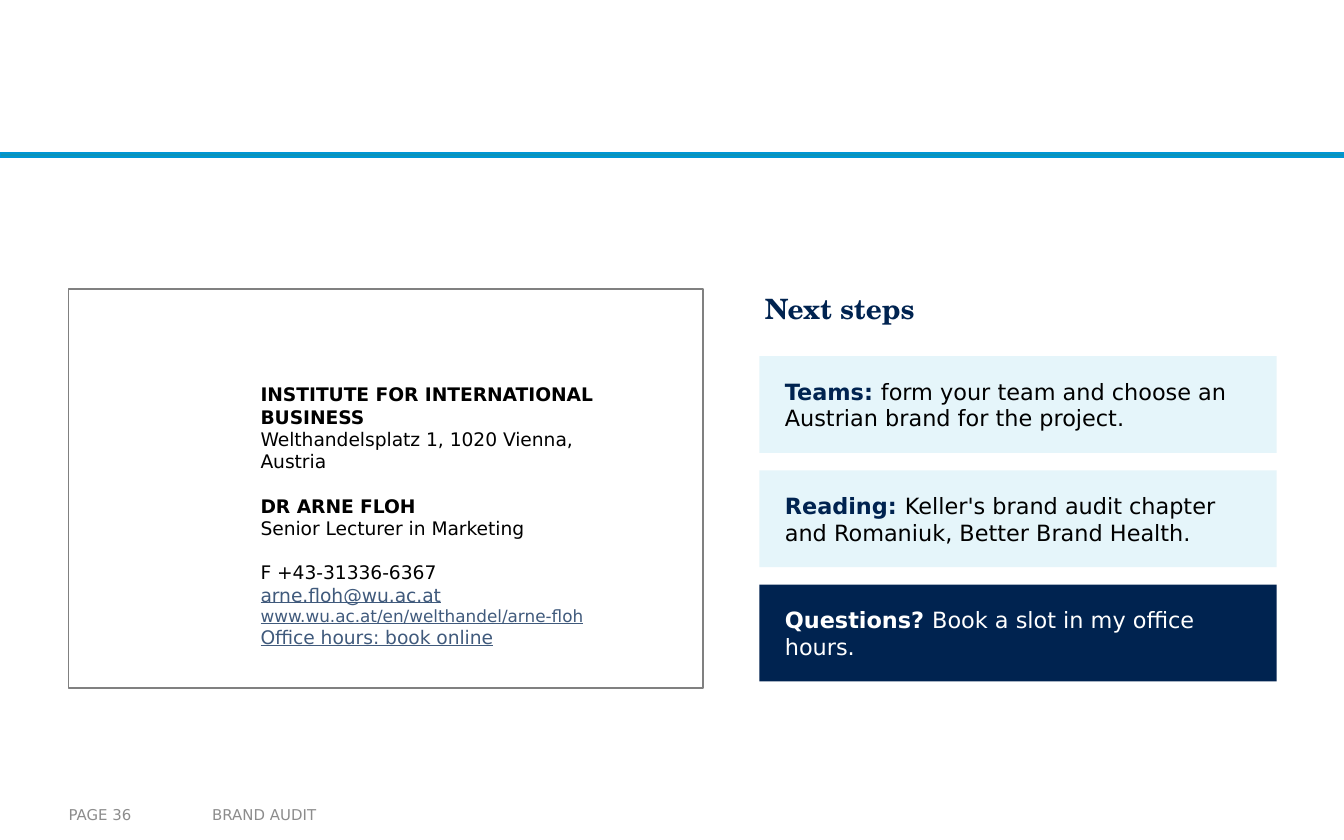
from dataclasses import dataclass

from pptx import Presentation
from pptx import util as u
from pptx.dml.color import RGBColor
from pptx.enum import shapes, text


@dataclass(frozen=True)
class Theme:
    body: str = "DejaVu Sans"
    heading: str = "TeX Gyre Schola"
    white: str = "FFFFFF"
    black: str = "000000"
    navy: str = "002350"
    pale: str = "E5F5FA"
    rule: str = "0C94B7"
    rule_line: str = "0096D3"
    frame: str = "808080"
    link: str = "405A7C"
    muted: str = "8C8C8C"
    heading_size: float = 15
    step_size: float = 12
    contact_size: float = 10
    small_link_size: float = 9
    footer_size: float = 8
    contact_gap: float = 11.64  # one line of contact text


T = Theme()
DEFAULT_INSETS = (0.1, 0.05)
TIGHT_INSETS = (0.04, 0.02)


def set_font(font, name, size, color, bold=False):
    font.name = name
    font.size = u.Pt(size)
    font.bold = bold
    font.color.rgb = RGBColor.from_string(color)


def add_rect(s, box, fill, line=None):
    sp = s.shapes.add_shape(shapes.MSO_SHAPE.RECTANGLE, *map(u.Inches, box))
    sp.shadow.inherit = False
    sp.fill.solid()
    sp.fill.fore_color.rgb = RGBColor.from_string(fill)
    if line:
        sp.line.color.rgb = RGBColor.from_string(line)
        sp.line.width = u.Pt(1)
    else:
        sp.line.fill.background()


def add_text_frame(s, box, insets=DEFAULT_INSETS, middle=False):
    tf = s.shapes.add_textbox(*map(u.Inches, box)).text_frame
    tf.word_wrap = True
    tf.margin_left = tf.margin_right = u.Inches(insets[0])
    tf.margin_top = tf.margin_bottom = u.Inches(insets[1])
    if middle:
        tf.vertical_anchor = text.MSO_ANCHOR.MIDDLE
    return tf


def add_label(s, box, label, font, insets, middle=False):
    p = add_text_frame(s, box, insets, middle).paragraphs[0]
    p.text = label
    set_font(p.font, *font)


def add_contact(s, box, groups):
    """Groups of (text, style) lines, with a blank line's space between groups."""
    styles = {
        "bold": (T.contact_size, T.black, True),
        "plain": (T.contact_size, T.black),
        "link": (T.contact_size, T.link),
        "small link": (T.small_link_size, T.link),
    }
    tf = add_text_frame(s, box)
    p = None
    for group in groups:
        for i, (line, style) in enumerate(group):
            first = p is None
            p = tf.paragraphs[0] if first else tf.add_paragraph()
            p.text = line
            set_font(p.font, T.body, *styles[style])
            if "link" in style:
                p.font.underline = True
            if i == 0 and not first:
                p.space_before = u.Pt(T.contact_gap)


def add_step(s, top, lead, body, fill, lead_color, body_color):
    height = 0.72
    add_rect(s, (5.65, top, 3.85, height), fill)
    tf = add_text_frame(s, (5.8, top, 3.6, height), TIGHT_INSETS, middle=True)
    p = tf.paragraphs[0]
    for words, color, bold in ((lead + " ", lead_color, True),
                               (body, body_color, False)):
        r = p.add_run()
        r.text = words
        set_font(r.font, T.body, T.step_size, color, bold)


def main():
    prs = Presentation()
    prs.slide_width, prs.slide_height = u.Inches(10), u.Inches(6.25)
    s = prs.slides.add_slide(prs.slide_layouts[6])

    # Header rule and contact frame
    add_rect(s, (0, 1.14, 10, 0.03), T.rule, T.rule_line)
    add_rect(s, (0.51, 2.15, 4.72, 2.97), T.white, T.frame)

    # Contact details
    add_contact(s, (1.84, 2.8, 3.02, 1.98), [
        [("INSTITUTE FOR INTERNATIONAL BUSINESS", "bold"),
         ("Welthandelsplatz 1, 1020 Vienna, Austria", "plain")],
        [("DR ARNE FLOH", "bold"),
         ("Senior Lecturer in Marketing", "plain")],
        [("F +43-31336-6367", "plain"),
         ("arne.floh@wu.ac.at", "link"),
         ("www.wu.ac.at/en/welthandel/arne-floh", "small link"),
         ("Office hours: book online", "link")],
    ])

    # Footer
    footer = (T.body, T.footer_size, T.muted)
    add_label(s, (1.48, 5.92, 3.52, 0.28), "BRAND AUDIT", footer,
              DEFAULT_INSETS, middle=True)
    add_label(s, (0.51, 5.92, 0.98, 0.28), "PAGE 36", footer,
              (0, 0.05), middle=True)

    # Next steps
    add_label(s, (5.65, 2.15, 3.85, 0.4), "Next steps",
              (T.heading, T.heading_size, T.navy, True), TIGHT_INSETS)
    light = (T.pale, T.navy, T.black)
    dark = (T.navy, T.white, T.white)
    steps = [
        ("Teams:", "form your team and choose an Austrian brand for the project.", light),
        ("Reading:", "Keller's brand audit chapter and Romaniuk, Better Brand Health.", light),
        ("Questions?", "Book a slot in my office hours.", dark),
    ]
    for i, (lead, body, colors) in enumerate(steps):
        add_step(s, 2.65 + 0.85 * i, lead, body, *colors)

    prs.save("out.pptx")


if __name__ == "__main__":
    main()
